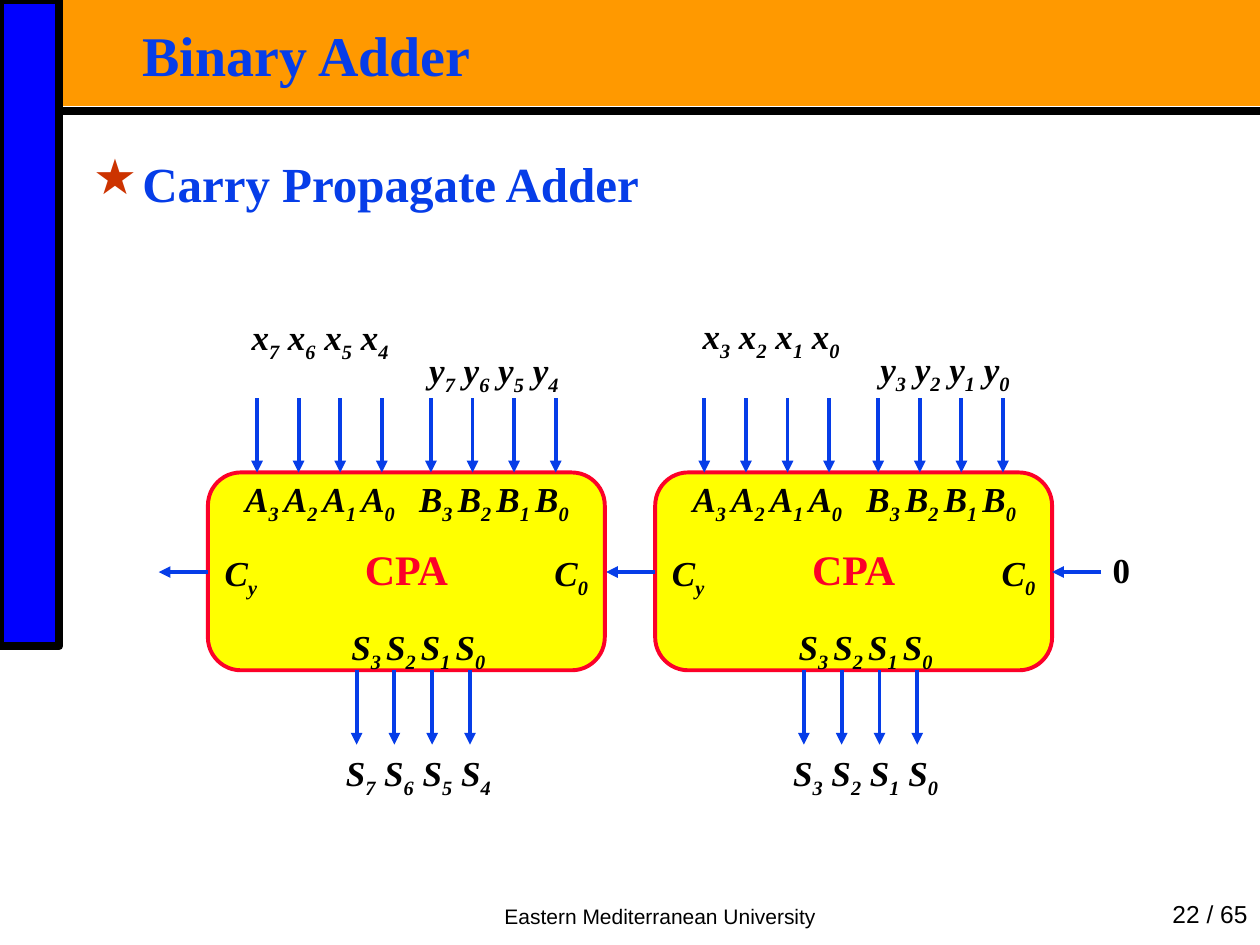
from lxml.etree import SubElement
from pptx import Presentation
from pptx.dml.color import RGBColor
from pptx.enum.shapes import MSO_CONNECTOR, MSO_SHAPE
from pptx.enum.text import MSO_ANCHOR, MSO_AUTO_SIZE, PP_ALIGN
from pptx.oxml.ns import qn
from pptx.util import Inches, Pt

COLORS = {
    "band": "FF9900", "sidebar": "0000FF", "black": "000000", "blue": "063DE8",
    "star": "CC3300", "block": "FFFF00", "red": "FC0128",
}
SERIF = "Times New Roman"
SIGNAL = {"name": SERIF, "size": Pt(20), "bold": True, "italic": True}
BLOCK_TOP, BLOCK_WIDTH, BLOCK_HEIGHT = 3.75, 3.15, 1.57
BUS_WIDTH, ARROW_LENGTH = 1.38, 0.59
CARRY_Y, CARRY_LENGTH = 4.54, 0.39


def rgb(key):
    return RGBColor.from_string(COLORS[key])


def format_font(font, color, formats):
    for attribute, value in formats.items():
        setattr(font, attribute, value)
    font.color.rgb = rgb(color)


def set_frame(frame, anchor=MSO_ANCHOR.TOP, side=0, edge=0):
    frame.word_wrap = True
    frame.auto_size = MSO_AUTO_SIZE.NONE
    frame.vertical_anchor = anchor
    frame.margin_left = frame.margin_right = Inches(side)
    frame.margin_top = frame.margin_bottom = Inches(edge)


def write(paragraph, text, color, formats, align=PP_ALIGN.LEFT, spacing=1.0):
    paragraph.alignment = align
    paragraph.line_spacing = spacing
    run = paragraph.add_run()
    run.text = text
    format_font(run.font, color, formats)
    return run


def add_text_box(slide, box, **frame_options):
    """Add an empty text box and return its first paragraph."""
    frame = slide.shapes.add_textbox(*map(Inches, box)).text_frame
    set_frame(frame, **frame_options)
    return frame.paragraphs[0]


def add_box(slide, kind, box, fill, line=None, width=0):
    shape = slide.shapes.add_shape(kind, *map(Inches, box))
    shape.shadow.inherit = False
    shape.fill.solid()
    shape.fill.fore_color.rgb = rgb(fill)
    if line:
        shape.line.color.rgb = rgb(line)
        shape.line.width = Pt(width)
    else:
        shape.line.fill.background()
    return shape


def add_line(slide, start, end, color="blue", width=2.25, arrow=True):
    connector = slide.shapes.add_connector(
        MSO_CONNECTOR.STRAIGHT, *map(Inches, (*start, *end)))
    connector.line.color.rgb = rgb(color)
    connector.line.width = Pt(width)
    if arrow:
        SubElement(connector.line._get_or_add_ln(), qn("a:tailEnd"), type="triangle")
    SubElement(connector.element.spPr, qn("a:effectLst"))


def add_signals(slide, box, letter, indices, wide=False,
                align=PP_ALIGN.CENTER, spacing=1.1):
    """Write one letter with each subscript; wide puts full-size gaps between."""
    paragraph = add_text_box(slide, box)
    last = len(indices) - 1
    for position, index in enumerate(indices):
        lead = " " if wide and position else ""
        trail = " " if not wide and position < last else ""
        write(paragraph, lead + letter, "black", SIGNAL, align, spacing)
        subscript = write(paragraph, index + trail, "black", SIGNAL, align, spacing)
        subscript._r.get_or_add_rPr().set("baseline", "-25000")


def add_arrow_row(slide, left, top, pitch):
    for position in range(4):
        x = left + position * pitch
        add_line(slide, (x, top), (x, top + ARROW_LENGTH))


def add_adder(slide, left, bits, label_left, label_top):
    """Draw a four-bit adder block with its ports, arrows and outer signals."""
    bottom = BLOCK_TOP + BLOCK_HEIGHT
    block = add_box(slide, MSO_SHAPE.ROUNDED_RECTANGLE,
                    (left, BLOCK_TOP, BLOCK_WIDTH, BLOCK_HEIGHT), "block", "red", 2.25)
    block.adjustments[0] = 0.167
    set_frame(block.text_frame, MSO_ANCHOR.MIDDLE)
    write(block.text_frame.paragraphs[0], "CPA", "red",
          {"name": SERIF, "size": Pt(24), "bold": True}, PP_ALIGN.CENTER, 0.9)

    for letter, offset, top in (("A", 0.2, BLOCK_TOP), ("B", 1.58, BLOCK_TOP),
                                ("S", 0.98, 4.93)):
        add_signals(slide, (left + offset, top, BUS_WIDTH, 0.42), letter, "3210")
    for index, offset, align in (("0", 2.75, PP_ALIGN.LEFT), ("y", 0, PP_ALIGN.RIGHT)):
        add_signals(slide, (left + offset, 4.34, 0.39, 0.42), "C", index, align=align)

    for offset in (0.39, 1.77):
        add_arrow_row(slide, left + offset, BLOCK_TOP - ARROW_LENGTH, 0.33)
    add_arrow_row(slide, left + 1.18, bottom, 0.3)
    add_line(slide, (left, CARRY_Y), (left - CARRY_LENGTH, CARRY_Y))

    for letter, x, top in (("x", label_left, label_top),
                           ("y", label_left + BUS_WIDTH, label_top + 0.26),
                           ("S", left + 0.98, 5.91)):
        add_signals(slide, (x, top, BUS_WIDTH, 0.44), letter, bits,
                    wide=True, spacing=1.15)


def add_frame(slide):
    add_box(slide, MSO_SHAPE.RECTANGLE, (0.47, 0, 9.53, 0.84), "band")
    add_box(slide, MSO_SHAPE.RECTANGLE, (0, 0, 0.47, 5.13), "sidebar", "black", 4.5)
    add_line(slide, (0.47, 0.88), (10, 0.88), "black", 4.5, arrow=False)
    for text, size, box, align in (
            ("Eastern Mediterranean University", 12, (3.43, 7.1, 3.62, 0.32),
             PP_ALIGN.CENTER),
            ("22 / 65", 14, (8.69, 7.1, 1.31, 0.32), PP_ALIGN.RIGHT)):
        paragraph = add_text_box(slide, box, anchor=MSO_ANCHOR.BOTTOM,
                                 side=0.1, edge=0.05)
        write(paragraph, text, "black", {"name": "Arial", "size": Pt(size)}, align)


def add_title(slide, text):
    title = slide.shapes.title
    title.left, title.top, title.width, title.height = map(
        Inches, (1.06, 0.21, 8.66, 0.52))
    set_frame(title.text_frame, side=0.07, edge=0.03)
    write(title.text_frame.paragraphs[0], text, "blue",
          {"name": SERIF, "size": Pt(32), "bold": True}, spacing=0.87)
    title.element.getparent().append(title.element)  # in front of the band


def add_star_bullet(slide, text):
    paragraph = add_text_box(slide, (0.67, 1.19, 9.06, 0.52), side=0.07, edge=0.03)
    write(paragraph, text, "blue", {"name": SERIF, "size": Pt(28), "bold": True})
    properties = paragraph._p.get_or_add_pPr()
    properties.set("marL", str(Inches(0.39)))
    properties.set("indent", str(Inches(-0.39)))
    bullet_color = SubElement(properties, qn("a:buClr"))
    SubElement(bullet_color, qn("a:srgbClr"), val=COLORS["star"])
    SubElement(properties, qn("a:buChar"), char="★")


def main():
    presentation = Presentation()
    presentation.slide_width, presentation.slide_height = Inches(10), Inches(7.5)
    slide = presentation.slides.add_slide(presentation.slide_layouts[5])
    add_frame(slide)
    add_title(slide, "Binary Adder")
    add_star_bullet(slide, "Carry Propagate Adder")

    add_adder(slide, 5.2, "3210", label_left=5.43, label_top=2.44)
    add_adder(slide, 1.65, "7654", label_left=1.85, label_top=2.45)
    add_line(slide, (8.74, CARRY_Y), (8.35, CARRY_Y))
    carry_in = add_text_box(slide, (8.74, 4.3, 0.32, 0.38))
    write(carry_in, "0", "black", {**SIGNAL, "italic": False}, PP_ALIGN.CENTER, 1.15)

    presentation.save("out.pptx")


if __name__ == "__main__":
    main()
